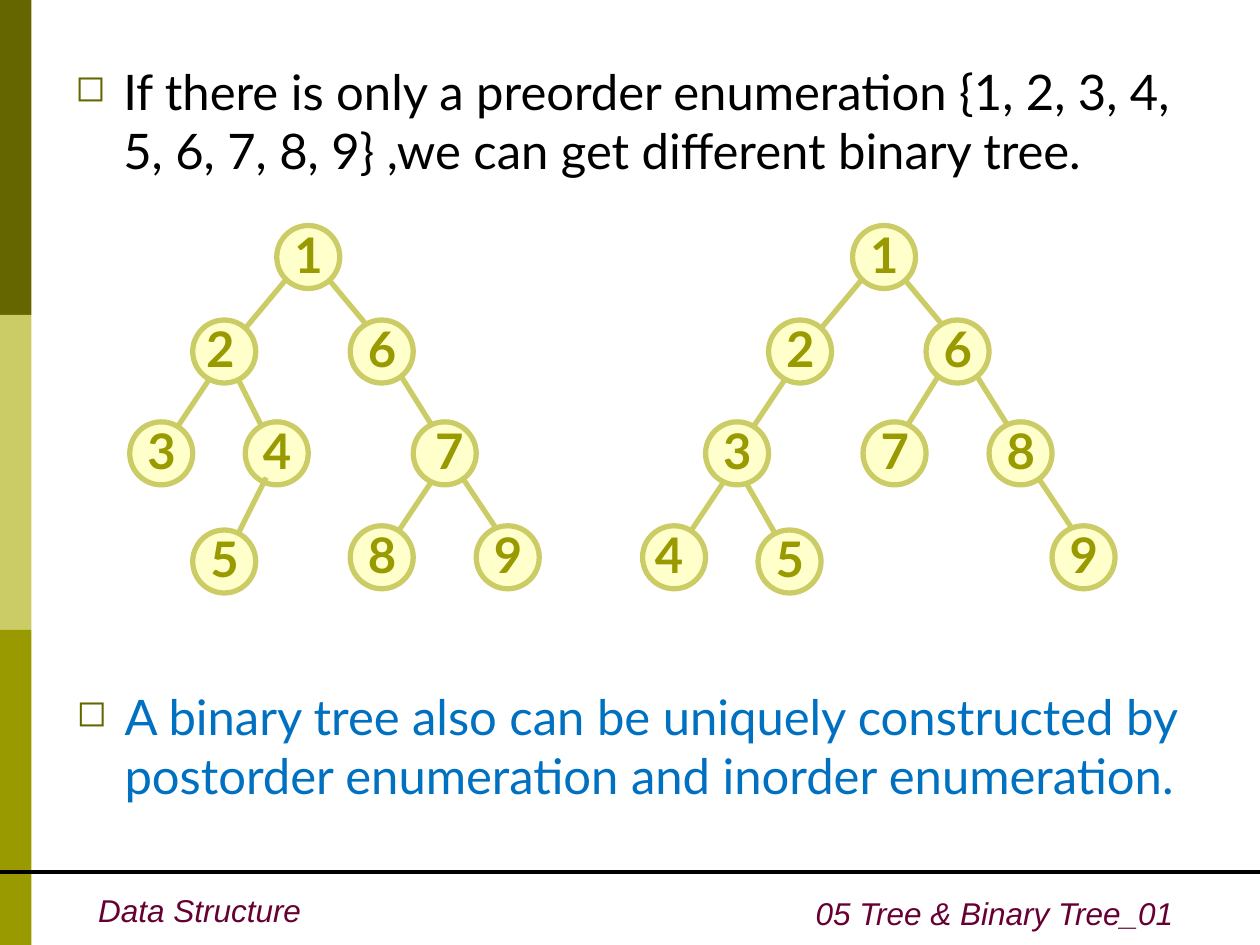
from lxml.etree import SubElement
from pptx import Presentation
from pptx.dml.color import RGBColor
from pptx.enum.shapes import MSO_CONNECTOR, MSO_SHAPE
from pptx.enum.text import MSO_ANCHOR, PP_ALIGN
from pptx.oxml.ns import qn
from pptx.util import Inches, Pt

WIDTH, HEIGHT = 10, 7.5
OLIVE, KHAKI, MOSS, CREAM = "666600", "CCCC66", "999900", "FFFFCC"
BLACK, BLUE, WINE = "000000", "0070C0", "660033"

# Tree grid: twelve steps to the inch, counted from the tree's origin.
STEP = 1 / 12
TREE_TOP = 1.79
LEFT_TREE, RIGHT_TREE = 1.03, 5.6
NODE_SIZE = 6
LABEL_WIDTH, LABEL_HEIGHT = 5, 6.8
ROWS = (0, 9, 18.7, 28.6)

# Edges: start column, start row, end column, end row.
SHARED_EDGES = [(15, 5, 10, 11), (18, 4, 23, 10), (8, 14, 4, 20),
                (25, 13, 30, 21), (31, 23, 35, 29)]
LEFT_EDGES = [(10, 14, 13, 20), (29, 24, 25, 30)]
LEFT_LOWER_EDGE = [(13, 24, 10, 30)]
RIGHT_EDGES = [(3, 23, 7, 30), (2, 24, -2, 30), (23, 13, 18, 21)]

# Nodes: number, column, row, sideways nudge of the number.
SHARED_NODES = [("1", 14, ROWS[0], 0), ("6", 21, ROWS[1], 0),
                ("3", 0, ROWS[2], 0), ("9", 33, ROWS[3], 0)]
LEFT_NODES = [("2", 6, ROWS[1], -0.4), ("4", 11, ROWS[2], 0),
              ("7", 27, ROWS[2], 0.4), ("8", 21, ROWS[3], 0)]
LEFT_LOWER_NODE = [("5", 6, 29, 0)]
RIGHT_NODES = [("2", 6, ROWS[1], 0), ("7", 15, ROWS[2], 0),
               ("8", 27, ROWS[2], 0), ("4", -6, ROWS[3], -0.5),
               ("5", 5, 29, 0)]


def rgb(value):
    return RGBColor.from_string(value)


def add_filled(shapes, preset, box, fill, outline=None):
    shape = shapes.add_shape(preset, *map(Inches, box))
    shape.shadow.inherit = False
    shape.fill.solid()
    shape.fill.fore_color.rgb = rgb(fill)
    if outline:
        shape.line.color.rgb = rgb(outline)
        shape.line.width = Pt(3)
    else:
        shape.line.fill.background()


def add_line(shapes, ends, color, width):
    line = shapes.add_connector(MSO_CONNECTOR.STRAIGHT, *map(Inches, ends))
    line.line.color.rgb = rgb(color)
    line.line.width = Pt(width)
    SubElement(line._element.spPr, qn("a:effectLst"))


def add_text(shapes, box, text, size, color, font="Lato", bold=False,
             italic=False, align=PP_ALIGN.LEFT, wrap=True, bullet=None):
    textbox = shapes.add_textbox(*map(Inches, box))
    frame = textbox.text_frame
    frame.word_wrap = wrap
    paragraph = frame.paragraphs[0]
    paragraph.alignment = align
    if bullet:
        add_bullet(paragraph, bullet)
    run = paragraph.add_run()
    run.text = text
    run.font.size = Pt(size)
    run.font.name = font
    run.font.bold = bold
    run.font.italic = italic
    run.font.color.rgb = rgb(color)
    return frame


def add_bullet(paragraph, color):
    """Give the paragraph a hanging square bullet at three quarters size."""
    properties = paragraph._p.get_or_add_pPr()
    properties.set("marL", str(Inches(0.38)))
    properties.set("indent", str(Inches(-0.38)))
    bullet_color = SubElement(properties, qn("a:buClr"))
    SubElement(bullet_color, qn("a:srgbClr"), val=color)
    SubElement(properties, qn("a:buSzPct"), val="75000")
    SubElement(properties, qn("a:buChar"), char="◻")


def draw_edges(tree, origin, edges):
    for x1, y1, x2, y2 in edges:
        ends = (origin + x1 * STEP, TREE_TOP + y1 * STEP,
                origin + x2 * STEP, TREE_TOP + y2 * STEP)
        add_line(tree, ends, KHAKI, 3)


def draw_nodes(tree, origin, nodes):
    for number, column, row, nudge in nodes:
        left, top = origin + column * STEP, TREE_TOP + row * STEP
        size = NODE_SIZE * STEP
        add_filled(tree, MSO_SHAPE.OVAL, (left, top, size, size), CREAM, KHAKI)
        label = (left + (0.5 + nudge) * STEP, top - 0.06,
                 LABEL_WIDTH * STEP, LABEL_HEIGHT * STEP)
        frame = add_text(tree, label, number, 28, MOSS, bold=True,
                         align=PP_ALIGN.CENTER, wrap=False)
        frame.vertical_anchor = MSO_ANCHOR.MIDDLE


def draw_frame(shapes):
    """Side bands, footer rule and footer texts."""
    band = HEIGHT / 3
    for index, color in enumerate((OLIVE, KHAKI, MOSS)):
        add_filled(shapes, MSO_SHAPE.RECTANGLE,
                   (0, index * band, WIDTH / 40, band), color)
    add_line(shapes, (0, 6.92, WIDTH, 6.92), BLACK, 2.25)
    add_text(shapes, (0.68, 7.02, 1.81, 0.4), "Data Structure", 18, WINE,
             font="Arial", italic=True, wrap=False)
    add_text(shapes, (6.1, 7.05, 3.31, 0.4), "05 Tree & Binary Tree_01", 18,
             WINE, font="Arial", italic=True, align=PP_ALIGN.RIGHT)


def main():
    deck = Presentation()
    deck.slide_width, deck.slide_height = Inches(WIDTH), Inches(HEIGHT)
    shapes = deck.slides.add_slide(deck.slide_layouts[6]).shapes

    draw_frame(shapes)
    add_text(shapes, (0.5, 0.44, 9.15, 1.18),
             "If there is only a preorder enumeration {1, 2, 3, 4, 5, 6, 7, "
             "8, 9} ,we can get different binary tree.",
             28, BLACK, bullet=OLIVE)

    left_tree = shapes.add_group_shape().shapes
    draw_edges(left_tree, LEFT_TREE, SHARED_EDGES + LEFT_EDGES)
    draw_nodes(left_tree, LEFT_TREE, SHARED_NODES + LEFT_NODES)
    draw_edges(left_tree, LEFT_TREE, LEFT_LOWER_EDGE)
    draw_nodes(left_tree, LEFT_TREE, LEFT_LOWER_NODE)

    right_tree = shapes.add_group_shape().shapes
    draw_edges(right_tree, RIGHT_TREE, SHARED_EDGES + RIGHT_EDGES)
    draw_nodes(right_tree, RIGHT_TREE, SHARED_NODES + RIGHT_NODES)

    add_text(shapes, (0.51, 5.4, 9.15, 1.18),
             "A binary tree also can be uniquely constructed by postorder "
             "enumeration and inorder enumeration.",
             28, BLUE, bullet=OLIVE)
    deck.save("out.pptx")


if __name__ == "__main__":
    main()
